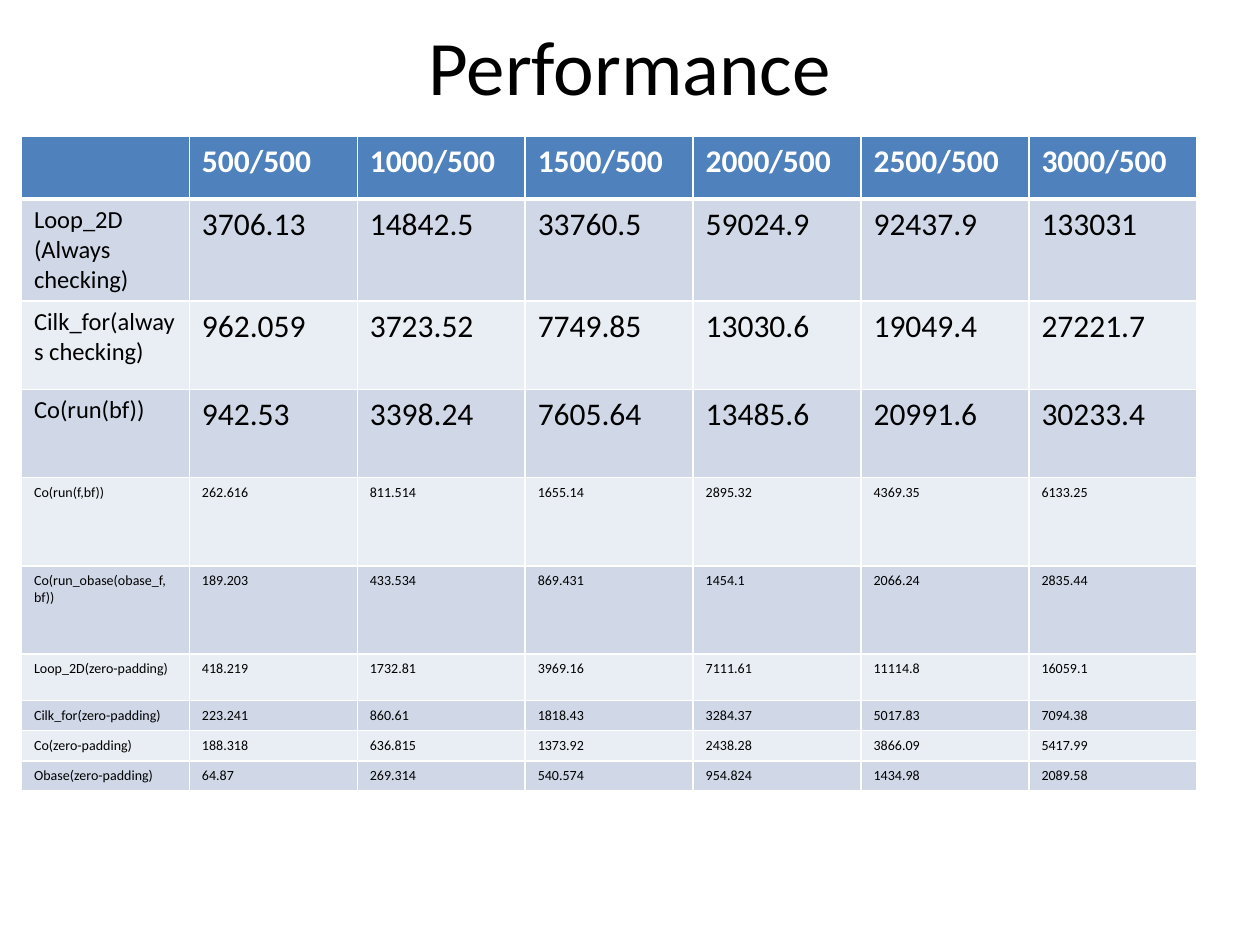
from lxml.etree import SubElement
from pptx import Presentation
from pptx.dml.color import RGBColor
from pptx.enum.text import MSO_ANCHOR, PP_ALIGN
from pptx.oxml.ns import qn
from pptx.util import Inches, Pt

# Content
TITLE = "Performance"
HEADER = ["", "500/500", "1000/500", "1500/500", "2000/500", "2500/500", "3000/500"]
# (row height, label size, value size, label, values)
ROWS = [
    (0.8, 14, 18, "Loop_2D\n(Always checking)",
     "3706.13 14842.5 33760.5 59024.9 92437.9 133031"),
    (0.7, 14, 18, "Cilk_for(always checking)",
     "962.059 3723.52 7749.85 13030.6 19049.4 27221.7"),
    (0.7, 14, 18, "Co(run(bf))",
     "942.53 3398.24 7605.64 13485.6 20991.6 30233.4"),
    (0.7, 8, 8, "Co(run(f,bf))",
     "262.616 811.514 1655.14 2895.32 4369.35 6133.25"),
    (0.7, 8, 8, "Co(run_obase(obase_f, bf))",
     "189.203 433.534 869.431 1454.1 2066.24 2835.44"),
    (0.37, 8, 8, "Loop_2D(zero-padding)",
     "418.219 1732.81 3969.16 7111.61 11114.8 16059.1"),
    (0.24, 8, 8, "Cilk_for(zero-padding)",
     "223.241 860.61 1818.43 3284.37 5017.83 7094.38"),
    (0.24, 8, 8, "Co(zero-padding)",
     "188.318 636.815 1373.92 2438.28 3866.09 5417.99"),
    (0.24, 8, 8, "Obase(zero-padding)",
     "64.87 269.314 540.574 954.824 1434.98 2089.58"),
]
HEADER_HEIGHT = 0.5
COLUMN_WIDTH = 9.33 / len(HEADER)
COLORS = {"header": "4F81BD", "odd": "D0D8E8", "even": "E9EDF4",
          "white": "FFFFFF", "black": "000000"}


def write_text(frame, text, size, color="black", bold=False, align=PP_ALIGN.LEFT):
    frame.text = text
    for para in frame.paragraphs:
        para.alignment = align
        para.font.size = Pt(size)
        for span in para.runs:
            span.font.name = "Calibri"
            span.font.size = Pt(size)
            span.font.bold = bold
            span.font.color.rgb = RGBColor.from_string(COLORS[color])


def set_borders(cell, bottom):
    properties = cell._tc.get_or_add_tcPr()
    widths = {"a:lnL": 1, "a:lnR": 1, "a:lnT": 1, "a:lnB": bottom}
    for index, (tag, width) in enumerate(widths.items()):
        line = SubElement(properties, qn(tag), w=str(Pt(width)))
        fill = SubElement(line, qn("a:solidFill"))
        SubElement(fill, qn("a:srgbClr"), val=COLORS["white"])
        properties.insert(index, line)  # borders come before the cell fill


def fill_cell(cell, fill, text, size, bottom=1, **text_format):
    cell.fill.solid()
    cell.fill.fore_color.rgb = RGBColor.from_string(COLORS[fill])
    set_borders(cell, bottom)
    write_text(cell.text_frame, text, size, **text_format)


deck = Presentation()
deck.slide_width, deck.slide_height = Inches(10), Inches(7.5)
page = deck.slides.add_slide(deck.slide_layouts[5])

# Title
title = page.shapes.title
title.left, title.top = Inches(0.5), Inches(0.08)
title.width, title.height = Inches(9), Inches(0.87)
write_text(title.text_frame, TITLE, 44, align=PP_ALIGN.CENTER)
title.text_frame.vertical_anchor = MSO_ANCHOR.MIDDLE

# Table grid
heights = [HEADER_HEIGHT] + [row[0] for row in ROWS]
table = page.shapes.add_table(
    len(heights), len(HEADER), Inches(0.17), Inches(1.08),
    Inches(COLUMN_WIDTH * len(HEADER)), Inches(sum(heights))).table
for column in table.columns:
    column.width = Inches(COLUMN_WIDTH)
for table_row, height in zip(table.rows, heights):
    table_row.height = Inches(height)

# Header row
for column, text in enumerate(HEADER):
    fill_cell(table.cell(0, column), "header", text, 18, bottom=3,
              color="white", bold=True)

# Timing rows
for row, (_, label_size, value_size, label, values) in enumerate(ROWS, 1):
    band = "odd" if row % 2 else "even"
    fill_cell(table.cell(row, 0), band, label, label_size)
    for column, value in enumerate(values.split(), 1):
        fill_cell(table.cell(row, column), band, value, value_size)

deck.save("out.pptx")
